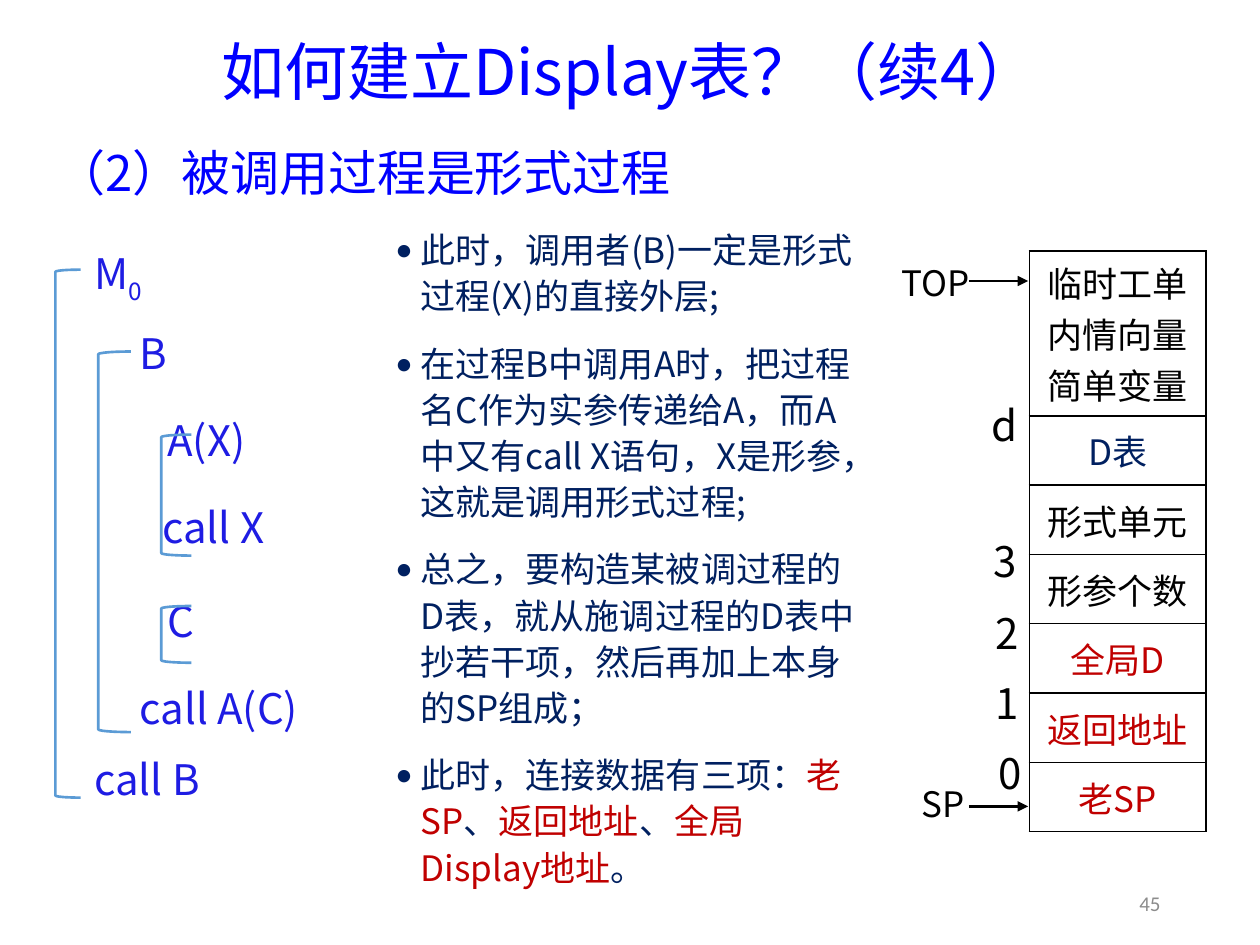
import pptx
import pptx.util
import pptx.dml.color
import pptx.enum.shapes
import pptx.enum.text
import pptx.oxml.ns
import lxml.etree
from dataclasses import dataclass

Inches, Pt = pptx.util.Inches, pptx.util.Pt
ALIGN = pptx.enum.text.PP_ALIGN
ANCHOR = pptx.enum.text.MSO_ANCHOR
qn = pptx.oxml.ns.qn


@dataclass(frozen=True)
class Theme:
    font: str = "Noto Sans CJK SC"
    title_font: str = "Noto Sans CJK JP"
    number_font: str = "Calibri"
    bullet_font: str = "Calibri"
    blue: str = "0000FF"
    code: str = "1E1CE3"
    navy: str = "002060"
    red: str = "C00000"
    black: str = "000000"
    gray: str = "8C8C8C"
    bracket: str = "5B9BD5"
    title_size: int = 36
    heading_size: int = 28
    code_size: int = 24
    body_size: int = 20
    number_size: int = 12
    line_width: float = 1.5


THEME = Theme()

TITLE = "如何建立Display表？（续4）"
HEADING = "（2）被调用过程是形式过程"
PAGE_NUMBER = "45"

# Each bullet is a list of (text, is highlighted).
BULLETS = [
    [("此时，调用者(B)一定是形式过程(X)的直接外层;", False)],
    [("在过程B中调用A时，把过程名C作为实参传递给A，而A中又有call X语句，X是形参，这就是调用形式过程;", False)],
    [("总之，要构造某被调过程的D表，就从施调过程的D表中抄若干项，然后再加上本身的SP组成；", False)],
    [("此时，连接数据有三项：", False), ("老SP", True), ("、", False), ("返回地址", True),
     ("、", False), ("全局Display地址", True), ("。", False)],
]

# Stack frame from top to bottom: lines, colour, row height.
STACK = [
    (["临时工单", "内情向量", "简单变量"], THEME.black, 1.31),
    (["D表"], THEME.navy, 0.55),
    (["形式单元"], THEME.black, 0.55),
    (["形参个数"], THEME.black, 0.55),
    (["全局D"], THEME.red, 0.55),
    (["返回地址"], THEME.red, 0.55),
    (["老SP"], THEME.red, 0.55),
]
OFFSETS = [("d", 7.7, 3.12), ("3", 7.7, 4.2), ("2", 7.72, 4.77), ("1", 7.72, 5.33), ("0", 7.74, 5.88)]
POINTERS = [("TOP", (6.89, 1.97, 1.07, 0.55), 2.23), ("SP", (7.1, 6.1, 0.77, 0.55), 6.4)]
# Text, indent in inches, space after in points.
INNER_CODE = [("B", 0, 12), ("A(X)", 0.22, 12), ("call X", 0.18, 16), ("C", 0.22, 12), ("call A(C)", 0, 12)]
BRACKETS = [(0.44, 2.14, 0.2, 4.19), (0.78, 2.79, 0.26, 3.02),
            (1.28, 3.45, 0.24, 0.96), (1.28, 4.81, 0.24, 0.45)]


def rgb(color):
    return pptx.dml.color.RGBColor.from_string(color)


def add_xml(parent, tag, **attributes):
    return lxml.etree.SubElement(parent, qn(tag), attributes)


def style(paragraph, size, color, font=THEME.font, align=ALIGN.LEFT,
          spacing=None, before=0, after=0, indent=0, hanging=0):
    paragraph.font.size = Pt(size)
    paragraph.font.color.rgb = rgb(color)
    paragraph.font.name = font
    paragraph.alignment = align
    paragraph.line_spacing = spacing
    paragraph.space_before, paragraph.space_after = Pt(before), Pt(after)
    properties = paragraph._p.get_or_add_pPr()
    properties.set("marL", str(Inches(indent)))
    properties.set("indent", str(-Inches(hanging)))
    add_xml(properties.find(qn("a:defRPr")), "a:ea", typeface=font)


def add_bullet(paragraph):
    properties = paragraph._p.get_or_add_pPr()
    defaults = properties.find(qn("a:defRPr"))
    for tag, name, value in (("a:buFont", "typeface", THEME.bullet_font), ("a:buChar", "char", "•")):
        defaults.addprevious(add_xml(properties, tag, **{name: value}))


def add_frame(slide, box, anchor=ANCHOR.MIDDLE):
    frame = slide.shapes.add_textbox(*map(Inches, box)).text_frame
    frame.word_wrap = True
    frame.vertical_anchor = anchor
    return frame


def paragraphs(frame, count):
    """Return the first paragraph of the frame and enough new ones."""
    return [frame.paragraphs[0]] + [frame.add_paragraph() for _ in range(count - 1)]


def add_label(slide, box, text, size, color, anchor=ANCHOR.MIDDLE, **options):
    paragraph = add_frame(slide, box, anchor).paragraphs[0]
    paragraph.add_run().text = text
    style(paragraph, size, color, **options)


def add_bullets(slide):
    frame = add_frame(slide, (3.04, 1.83, 3.86, 5.17))
    for paragraph, parts in zip(paragraphs(frame, len(BULLETS)), BULLETS):
        for text, highlighted in parts:
            run = paragraph.add_run()
            run.text = text
            if highlighted:
                run.font.color.rgb = rgb(THEME.red)
        style(paragraph, THEME.body_size, THEME.navy, spacing=1.1,
              before=6, after=6, indent=0.2, hanging=0.2)
        add_bullet(paragraph)


def add_code(slide):
    inner = add_frame(slide, (1.01, 2.37, 1.94, 3.64))
    for paragraph, (text, indent, after) in zip(paragraphs(inner, len(INNER_CODE)), INNER_CODE):
        paragraph.add_run().text = text
        style(paragraph, THEME.code_size, THEME.code, spacing=1.1, before=6, after=after, indent=indent)

    outer = add_frame(slide, (0.65, 2.55, 2.77, 3.2))
    opening, closing = paragraphs(outer, 2)
    opening.add_run().text = "M"
    subscript = opening.add_run()
    subscript.text = "0"
    subscript.font._element.set("baseline", "-25000")
    closing.add_run().text = "call B"
    for paragraph, before in ((opening, 6), (closing, 247)):
        style(paragraph, THEME.code_size, THEME.code, spacing=1.1, before=before, after=6)

    for box in BRACKETS:
        bracket = slide.shapes.add_shape(pptx.enum.shapes.MSO_SHAPE.LEFT_BRACKET, *map(Inches, box))
        bracket.shadow.inherit = False
        bracket.fill.background()
        bracket.line.color.rgb = rgb(THEME.bracket)
        bracket.line.width = Pt(THEME.line_width)


def add_borders(cell):
    properties = cell._tc.get_or_add_tcPr()
    for position, side in enumerate(("a:lnL", "a:lnR", "a:lnT", "a:lnB")):
        line = add_xml(properties, side, w=str(Pt(1)))
        add_xml(add_xml(line, "a:solidFill"), "a:srgbClr", val=THEME.black)
        properties.insert(position, line)


def add_stack(slide):
    height = sum(row_height for _, _, row_height in STACK)
    table = slide.shapes.add_table(len(STACK), 1, Inches(8.17), Inches(1.99),
                                   Inches(1.4), Inches(height)).table
    table.first_row = table.horz_banding = False
    for row, (lines, color, row_height) in zip(table.rows, STACK):
        row.height = Inches(row_height)
        cell = row.cells[0]
        cell.fill.background()
        cell.vertical_anchor = ANCHOR.MIDDLE
        for paragraph, text in zip(paragraphs(cell.text_frame, len(lines)), lines):
            paragraph.add_run().text = text
            style(paragraph, THEME.body_size, color, align=ALIGN.CENTER)
        add_borders(cell)

    for text, box, y in POINTERS:
        arrow = slide.shapes.add_connector(pptx.enum.shapes.MSO_CONNECTOR.STRAIGHT,
                                           Inches(7.69), Inches(y), Inches(8.16), Inches(y))
        arrow.line.color.rgb = rgb(THEME.black)
        arrow.line.width = Pt(THEME.line_width)
        add_xml(arrow.line._get_or_add_ln(), "a:tailEnd", type="triangle")
        add_xml(arrow._element.spPr, "a:effectLst")
        add_label(slide, box, text, THEME.body_size, THEME.black, align=ALIGN.CENTER)
    for text, left, top in OFFSETS:
        add_label(slide, (left, top, 0.55, 0.5), text, THEME.code_size, THEME.black, align=ALIGN.CENTER)


def main():
    presentation = pptx.Presentation()
    presentation.slide_width, presentation.slide_height = Inches(10), Inches(7.5)
    slide = presentation.slides.add_slide(presentation.slide_layouts[6])
    add_label(slide, (0.69, 0.22, 8.62, 0.75), TITLE, THEME.title_size, THEME.blue,
              font=THEME.title_font, align=ALIGN.CENTER, spacing=0.9)
    add_label(slide, (0.35, 1.08, 5.5, 0.63), HEADING, THEME.heading_size, THEME.blue,
              anchor=ANCHOR.TOP, before=6, after=6, indent=0.25, hanging=0.25)
    add_label(slide, (8.68, 6.98, 0.63, 0.37), PAGE_NUMBER, THEME.number_size, THEME.gray,
              font=THEME.number_font, align=ALIGN.RIGHT)
    add_bullets(slide)
    add_stack(slide)
    add_code(slide)
    presentation.save("out.pptx")


if __name__ == "__main__":
    main()
